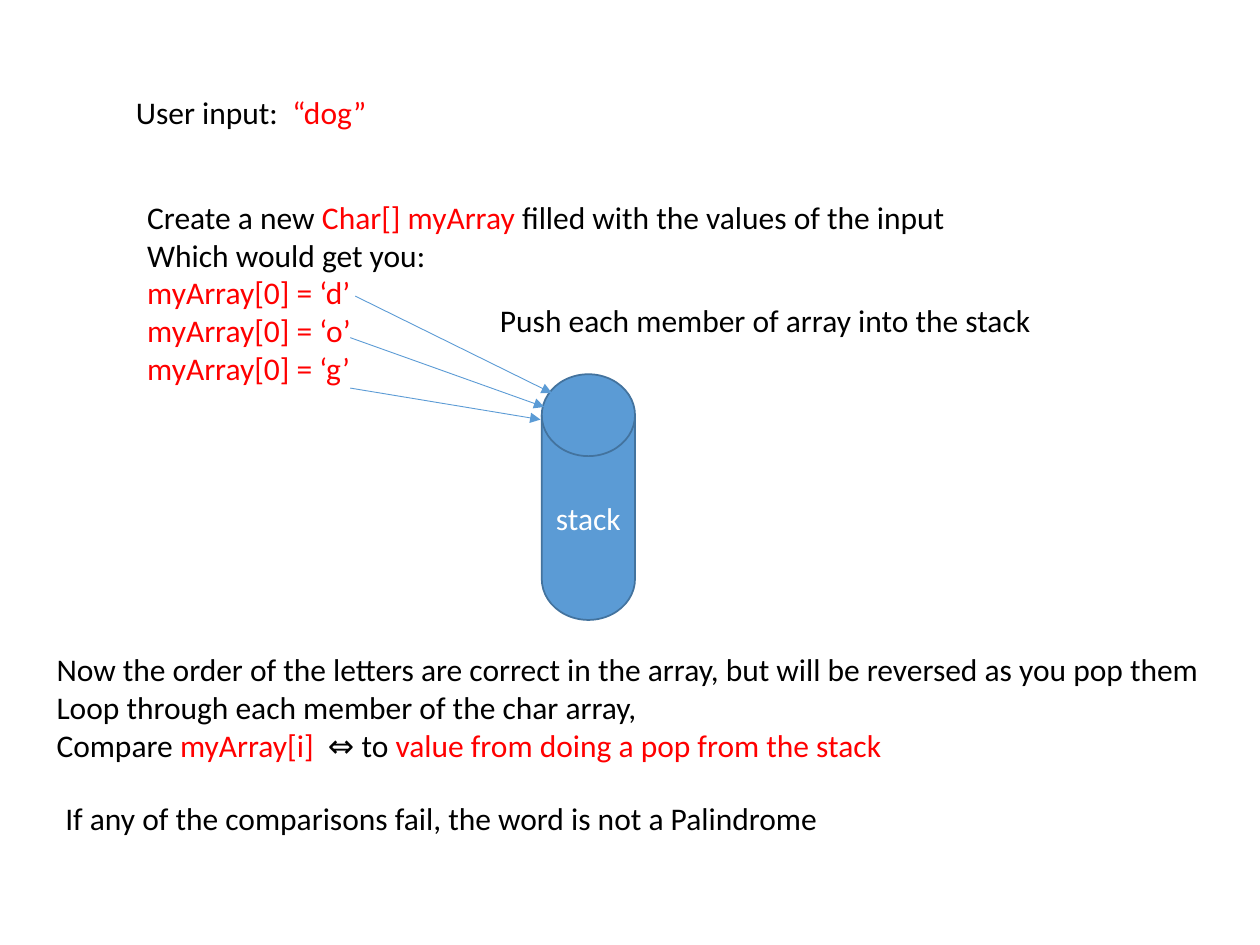
"""Build the slide that explains a palindrome check with a stack."""
from dataclasses import dataclass

from lxml import etree
from pptx import Presentation
from pptx.dml.color import RGBColor
from pptx.enum import shapes, text
from pptx.oxml import ns
from pptx.util import Inches, Pt


@dataclass(frozen=True)
class Theme:
    font: str = "Calibri"
    size: float = 18
    ink: str = "000000"
    code: str = "FF0000"
    light: str = "FFFFFF"
    fill: str = "5B9BD5"
    edge: str = "43739E"
    edge_width: float = 1
    arrow_width: float = 0.5


THEME = Theme()


def add_span(para, words, *, color=THEME.ink, size=THEME.size, font=THEME.font):
    span = para.add_run()
    span.text = words
    span.font.name = font
    span.font.size = Pt(size)
    span.font.color.rgb = RGBColor.from_string(color)


def code(words):
    return words, THEME.code


def plain(words):
    return words, THEME.ink


class SlideBuilder:
    def __init__(self, page, theme):
        self.page = page
        self.theme = theme

    def note(self, left, top, width, height, *lines):
        box = self.page.shapes.add_textbox(*map(Inches, (left, top, width, height)))
        frame = box.text_frame
        frame.word_wrap = False
        frame.auto_size = text.MSO_AUTO_SIZE.SHAPE_TO_FIT_TEXT
        for index, line in enumerate(lines):
            para = frame.add_paragraph() if index else frame.paragraphs[0]
            for words, color in line:
                add_span(para, words, color=color)

    def cylinder(self, left, top, width, height, label):
        disk = self.page.shapes.add_shape(
            shapes.MSO_SHAPE.FLOWCHART_MAGNETIC_DISK,
            *map(Inches, (left, top, width, height)))
        disk.shadow.inherit = False
        disk.fill.solid()
        disk.fill.fore_color.rgb = RGBColor.from_string(self.theme.fill)
        disk.line.color.rgb = RGBColor.from_string(self.theme.edge)
        disk.line.width = Pt(self.theme.edge_width)
        disk.text_frame.vertical_anchor = text.MSO_ANCHOR.MIDDLE
        para = disk.text_frame.paragraphs[0]
        para.alignment = text.PP_ALIGN.CENTER
        add_span(para, label, color=self.theme.light)

    def arrow(self, start, end):
        arrow = self.page.shapes.add_connector(
            shapes.MSO_CONNECTOR.STRAIGHT, *map(Inches, (*start, *end)))
        arrow.line.color.rgb = RGBColor.from_string(self.theme.fill)
        arrow.line.width = Pt(self.theme.arrow_width)
        properties = arrow.line._get_or_add_ln()
        etree.SubElement(properties, ns.qn("a:tailEnd"), type="triangle")
        etree.SubElement(arrow._element.spPr, ns.qn("a:effectLst"))


def main():
    deck = Presentation()
    deck.slide_width, deck.slide_height = Inches(10), Inches(7.5)
    builder = SlideBuilder(deck.slides.add_slide(deck.slide_layouts[6]), THEME)

    builder.note(0.98, 0.69, 2.05, 0.4, [plain("User input:  "), code("“dog”")])
    builder.note(
        1.07, 1.52, 6.61, 1.62,
        [plain("Create a new "), code("Char[] myArray "),
         plain("filled with the values of the input")],
        [plain("Which would get you:")],
        *([code(f"myArray[0] = ‘{letter}’")] for letter in "dog"))

    builder.cylinder(4.3, 2.97, 0.74, 1.95, "stack")
    for start, end in (
        ((2.82, 2.35), (4.38, 3.12)),
        ((2.78, 2.68), (4.32, 3.23)),
        ((2.78, 3.08), (4.29, 3.33)),
    ):
        builder.arrow(start, end)
    builder.note(3.87, 2.34, 4.46, 0.4,
                 [plain("Push each member of array into the stack")])

    builder.note(
        0.35, 5.11, 9.39, 1.01,
        [plain("Now the order of the letters are correct in the array, "
               "but will be reversed as you pop them")],
        [plain("Loop through each member of the char array,")],
        [plain("Compare "), code("myArray[i]  "), plain("⇔ to "),
         code("value from doing a pop from the stack")])
    builder.note(0.42, 6.29, 6.37, 0.4,
                 [plain("If any of the comparisons fail, the word is not a Palindrome")])

    deck.save("out.pptx")


if __name__ == "__main__":
    main()
